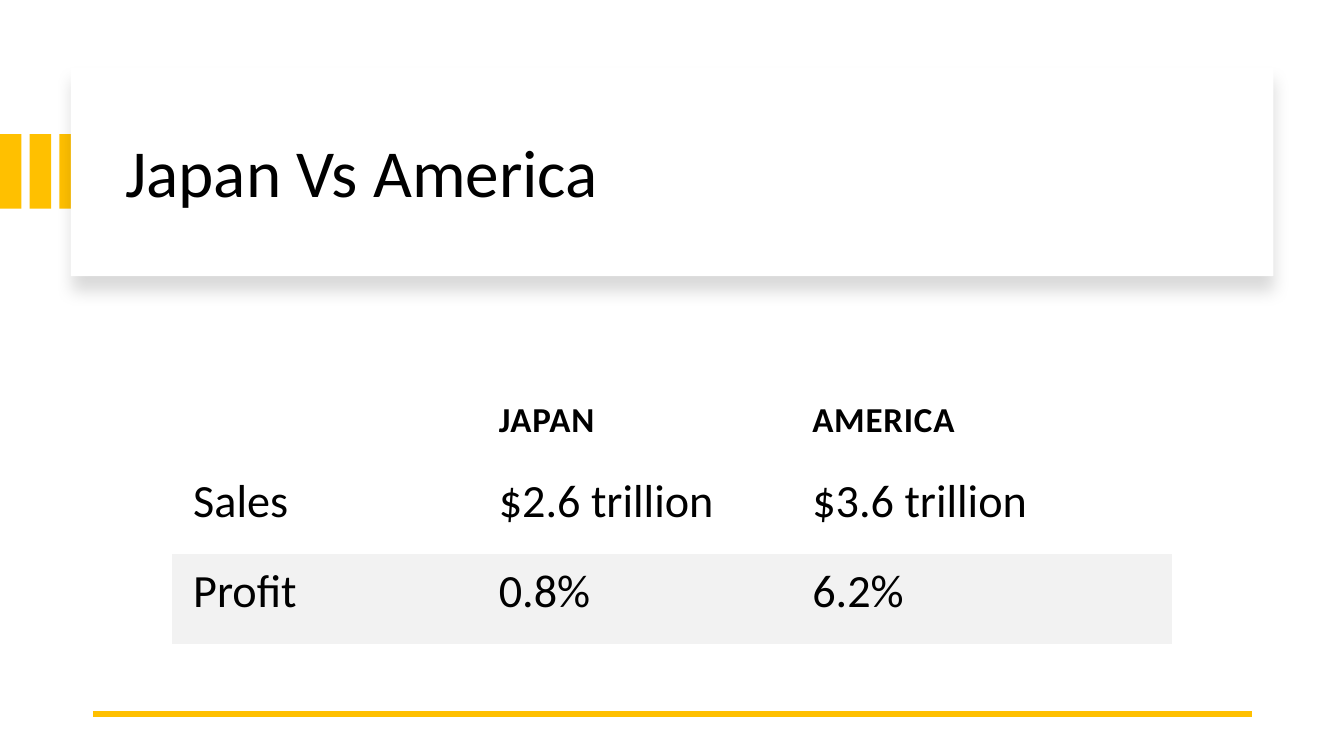
"""Build a slide that compares sales and profit in Japan and America."""
from lxml.etree import SubElement
from pptx import Presentation
from pptx.dml.color import RGBColor
from pptx.enum.shapes import MSO_CONNECTOR as Connector, MSO_SHAPE as Shape
from pptx.enum.text import MSO_ANCHOR as Anchor, MSO_AUTO_SIZE as AutoSize, PP_ALIGN as Align
from pptx.oxml.ns import qn
from pptx.util import Cm, Pt

GOLD = RGBColor(0xFF, 0xC0, 0x00)
WHITE = RGBColor(0xFF, 0xFF, 0xFF)
BLACK = RGBColor(0x00, 0x00, 0x00)
LIGHT_GREY = RGBColor(0xF2, 0xF2, 0xF2)
FONT = "Calibri"
PLAIN_TABLE_STYLE = "{2D5ABB26-0587-4C30-8999-92F81FD0307C}"

ROWS = [
    ["", "JAPAN", "AMERICA"],
    ["Sales", "$2.6 trillion", "$3.6 trillion"],
    ["Profit", "0.8%", "6.2%"],
]
COLUMN_WIDTHS = [Cm(7.7), Cm(7.9), Cm(9.6)]
ROW_HEIGHTS = [Cm(2.21), Cm(2.29), Cm(2.29)]


def format_runs(paragraph, size, bold=False):
    for run in paragraph.runs:
        run.font.name = FONT
        run.font.size = Pt(size)
        run.font.bold = bold
        run.font.color.rgb = BLACK


def add_rectangle(shapes, left, top, width, height, color):
    rectangle = shapes.add_shape(Shape.RECTANGLE, left, top, width, height)
    rectangle.shadow.inherit = False
    rectangle.fill.solid()
    rectangle.fill.fore_color.rgb = color
    rectangle.line.fill.background()
    return rectangle


def add_bars(slide):
    group = slide.shapes.add_group_shape()
    for index in range(3):
        add_rectangle(group.shapes, Cm(0.75 * index), Cm(3.38), Cm(0.54), Cm(1.88), GOLD)


def add_card(slide):
    card = add_rectangle(slide.shapes, Cm(1.79), Cm(1.7), Cm(30.3), Cm(5.26), WHITE)
    effects = card.element.spPr.find(qn("a:effectLst"))
    shadow = SubElement(effects, qn("a:outerShdw"), blurRad=str(Pt(11)),
                        dist=str(Pt(10)), dir="5400000", algn="t", rotWithShape="0")
    color = SubElement(shadow, qn("a:srgbClr"), val=str(BLACK))
    SubElement(color, qn("a:alpha"), val="15000")
    return card


def place_title(slide, card, text):
    title = slide.shapes.title
    card.element.addnext(title.element)
    title.left, title.top, title.width, title.height = Cm(2.9), Cm(2.26), Cm(28.27), Cm(4.32)
    frame = title.text_frame
    frame.text = text
    frame.word_wrap = True
    frame.auto_size = AutoSize.NONE
    frame.vertical_anchor = Anchor.MIDDLE
    paragraph = frame.paragraphs[0]
    paragraph.alignment = Align.LEFT
    paragraph.line_spacing = 0.9
    format_runs(paragraph, 48)


def add_rule(slide):
    rule = slide.shapes.add_connector(Connector.STRAIGHT, Cm(2.34), Cm(18), Cm(31.55), Cm(18))
    rule.line.color.rgb = GOLD
    rule.line.width = Pt(4.5)
    SubElement(rule.element.spPr, qn("a:effectLst"))


def fill_cell(cell, text, is_header, is_shaded):
    cell.margin_left = cell.margin_right = cell.margin_bottom = Cm(0.53)
    cell.margin_top = Cm(0.53) if is_header else Cm(0.26)
    cell.vertical_anchor = Anchor.BOTTOM if is_header else Anchor.TOP
    if is_shaded:
        cell.fill.solid()
        cell.fill.fore_color.rgb = LIGHT_GREY
    else:
        cell.fill.background()
    if text:
        cell.text_frame.text = text
        paragraph = cell.text_frame.paragraphs[0]
        format_runs(paragraph, 25 if is_header else 33, is_header)
        if is_header:
            paragraph.runs[0].font._element.set("spc", "60")


def add_comparison_table(slide):
    frame = slide.shapes.add_table(len(ROWS), len(COLUMN_WIDTHS), Cm(4.34), Cm(9.45),
                                   sum(COLUMN_WIDTHS), sum(ROW_HEIGHTS))
    table = frame.table
    table.first_row = table.horz_banding = False
    frame.element.find(".//" + qn("a:tableStyleId")).text = PLAIN_TABLE_STYLE
    for column, width in zip(table.columns, COLUMN_WIDTHS):
        column.width = width
    for index, (row, height, texts) in enumerate(zip(table.rows, ROW_HEIGHTS, ROWS)):
        row.height = height
        for cell, text in zip(row.cells, texts):
            fill_cell(cell, text, index == 0, index == 2)


def main():
    presentation = Presentation()
    presentation.slide_width, presentation.slide_height = Cm(33.87), Cm(19.05)
    slide = presentation.slides.add_slide(presentation.slide_layouts[5])
    add_bars(slide)
    card = add_card(slide)
    place_title(slide, card, "Japan Vs America")
    add_rule(slide)
    add_comparison_table(slide)
    presentation.save("out.pptx")


if __name__ == "__main__":
    main()
